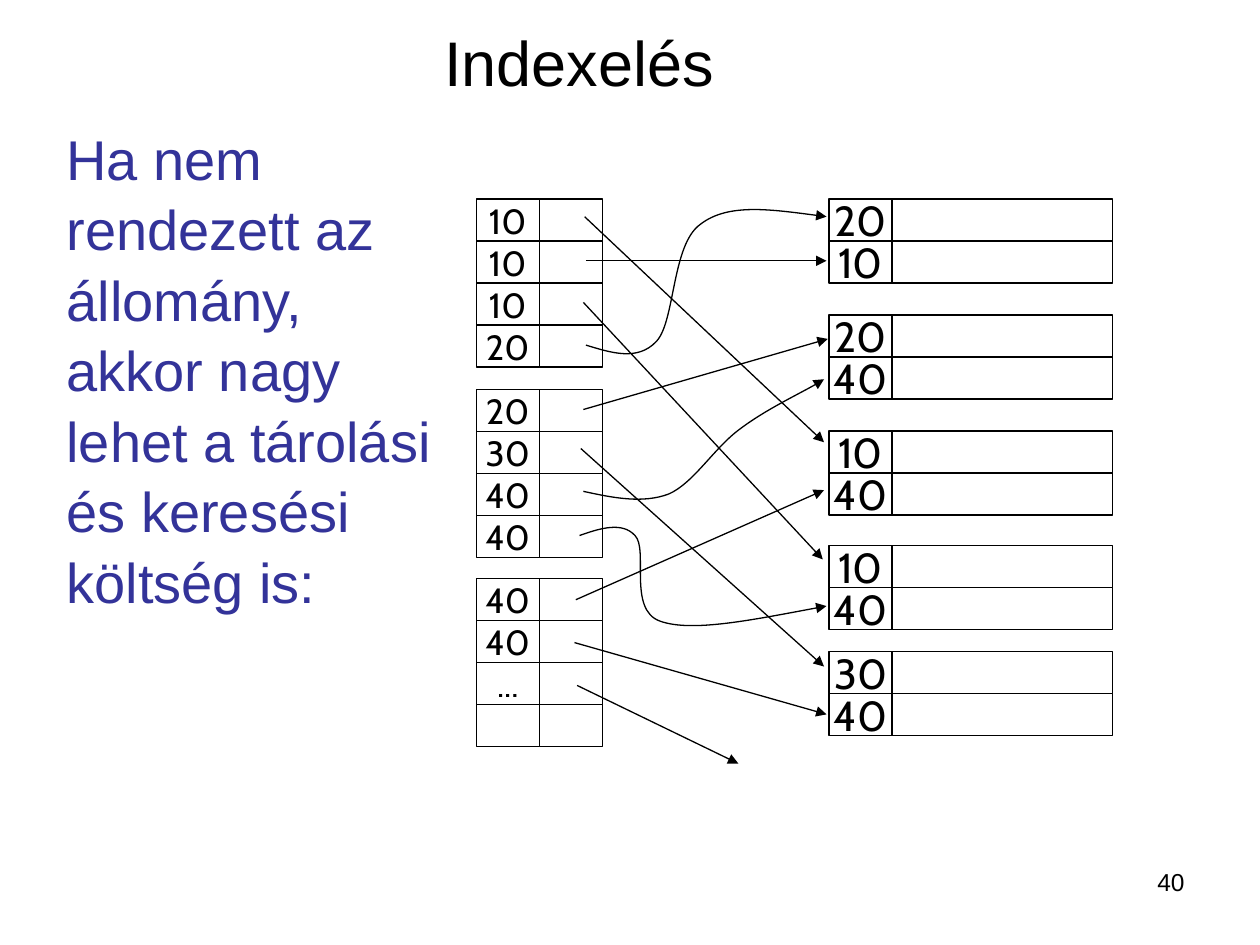
"""Build the slide on indexing an unsorted file."""
from lxml.etree import SubElement
from pptx import Presentation
from pptx.dml.color import RGBColor
from pptx.enum.shapes import MSO_CONNECTOR, MSO_SHAPE
from pptx.enum.text import MSO_ANCHOR, PP_ALIGN
from pptx.oxml.ns import qn
from pptx.util import Inches, Pt


def style_text(frame, text, size, font="Arial", color="000000", align=PP_ALIGN.LEFT):
    paragraph = frame.paragraphs[0]
    paragraph.text = text
    paragraph.alignment = align
    paragraph.font.size = Pt(size)
    paragraph.font.name = font
    paragraph.font.color.rgb = RGBColor.from_string(color)
    return paragraph


def style_arrow(arrow):
    arrow.line.color.rgb = RGBColor.from_string("000000")
    arrow.line.width = Pt(0.75)
    properties = arrow._element.spPr
    SubElement(properties.find(qn("a:ln")), qn("a:tailEnd"), type="triangle")
    if properties.find(qn("a:effectLst")) is None:
        SubElement(properties, qn("a:effectLst"))


presentation = Presentation()
presentation.slide_width = Inches(10)
presentation.slide_height = Inches(7.5)
slide = presentation.slides.add_slide(presentation.slide_layouts[5])
shapes = slide.shapes

heading = shapes.title
heading.left, heading.top = Inches(0.26), Inches(0.21)
heading.width, heading.height = Inches(8.67), Inches(0.55)
heading.text_frame.vertical_anchor = MSO_ANCHOR.MIDDLE
style_text(heading.text_frame, "Indexelés", 36, align=PP_ALIGN.CENTER)

record_blocks = [
    (6.58, top, 1.75, 24, keys)
    for top, keys in [
        (1.58, ["20", "10"]),
        (2.5, ["20", "40"]),
        (3.42, ["10", "40"]),
        (4.33, ["10", "40"]),
        (5.17, ["30", "40"]),
    ]
]
index_blocks = [
    (3.78, top, 0.5, 20, keys)
    for top, keys in [
        (1.58, ["10", "10", "10", "20"]),
        (3.09, ["20", "30", "40", "40"]),
        (4.59, ["40", "40", "...", ""]),
    ]
]
key_width, row_height = 0.5, Inches(1) // 3
for left, top, value_width, size, keys in record_blocks + index_blocks:
    block = shapes.add_group_shape()
    for row, key in enumerate(keys):
        row_top = Inches(top) + row * row_height
        for x, width, text in [(left, key_width, key), (left + key_width, value_width, "")]:
            cell = block.shapes.add_shape(
                MSO_SHAPE.RECTANGLE, Inches(x), row_top, Inches(width), row_height
            )
            cell.shadow.inherit = False
            cell.fill.solid()
            cell.fill.fore_color.rgb = RGBColor.from_string("FFFFFF")
            cell.line.color.rgb = RGBColor.from_string("000000")
            cell.line.width = Pt(0.75)
            if text:
                cell.text_frame.word_wrap = False
                cell.text_frame.vertical_anchor = MSO_ANCHOR.MIDDLE
                style_text(cell.text_frame, text, size, "Cabin", align=PP_ALIGN.CENTER)

straight_pointers = [
    (4.65, 2.07, 6.56, 2.07),
    (4.64, 1.72, 6.54, 3.51),
    (4.63, 2.4, 6.53, 4.44),
    (4.63, 3.25, 6.57, 2.69),
    (4.61, 3.56, 6.54, 5.29),
    (4.56, 5.1, 6.56, 5.67),
    (4.57, 4.76, 6.54, 3.89),
    (4.58, 5.44, 5.86, 6.06),
]
for ends in straight_pointers:
    style_arrow(shapes.add_connector(MSO_CONNECTOR.STRAIGHT, *map(Inches, ends)))

curved_pointers = [
    [(4.65, 2.74), (4.85, 2.8), (5.06, 2.87), (5.21, 2.71), (5.36, 2.55),
     (5.33, 1.94), (5.56, 1.78), (5.78, 1.61), (6.17, 1.67), (6.56, 1.72)],
    [(4.63, 3.9), (4.86, 3.95), (5.1, 4), (5.31, 3.92), (5.51, 3.83),
     (5.67, 3.55), (5.88, 3.4), (6.08, 3.25), (6.44, 3.08), (6.54, 3.01)],
    [(4.6, 4.25), (4.77, 4.19), (4.94, 4.14), (5.04, 4.25), (5.15, 4.36),
     (4.98, 4.84), (5.24, 4.93), (5.49, 5.02), (6.02, 4.91), (6.56, 4.81)],
]
for start, *controls in curved_pointers:
    builder = shapes.build_freeform(*start, scale=Inches(1))
    builder = shapes.build_freeform(Inches(start[0]), Inches(start[1]))
    builder.add_line_segments([(Inches(x), Inches(y)) for x, y in controls], close=False)
    curve = builder.convert_to_shape()
    outline = curve._element.find(".//" + qn("a:path"))
    segments = outline.findall(qn("a:lnTo"))
    for first in range(0, len(segments), 3):
        bezier = SubElement(outline, qn("a:cubicBezTo"))
        for segment in segments[first:first + 3]:
            bezier.append(segment[0])
            outline.remove(segment)
    curve.fill.background()
    curve.shadow.inherit = False
    style_arrow(curve)

statement = shapes.add_textbox(Inches(0.43), Inches(0.91), Inches(3.23), Inches(3.84))
statement.text_frame.word_wrap = True
sentence = style_text(
    statement.text_frame,
    "Ha nem rendezett az állomány, akkor nagy lehet a tárolási és keresési költség is:",
    32,
    color="333399",
)
sentence.line_spacing = 1.05

page_number = shapes.add_textbox(Inches(7.17), Inches(6.83), Inches(2.33), Inches(0.52))
page_number.text_frame.word_wrap = True
style_text(page_number.text_frame, "40", 14, align=PP_ALIGN.RIGHT)

presentation.save("out.pptx")
